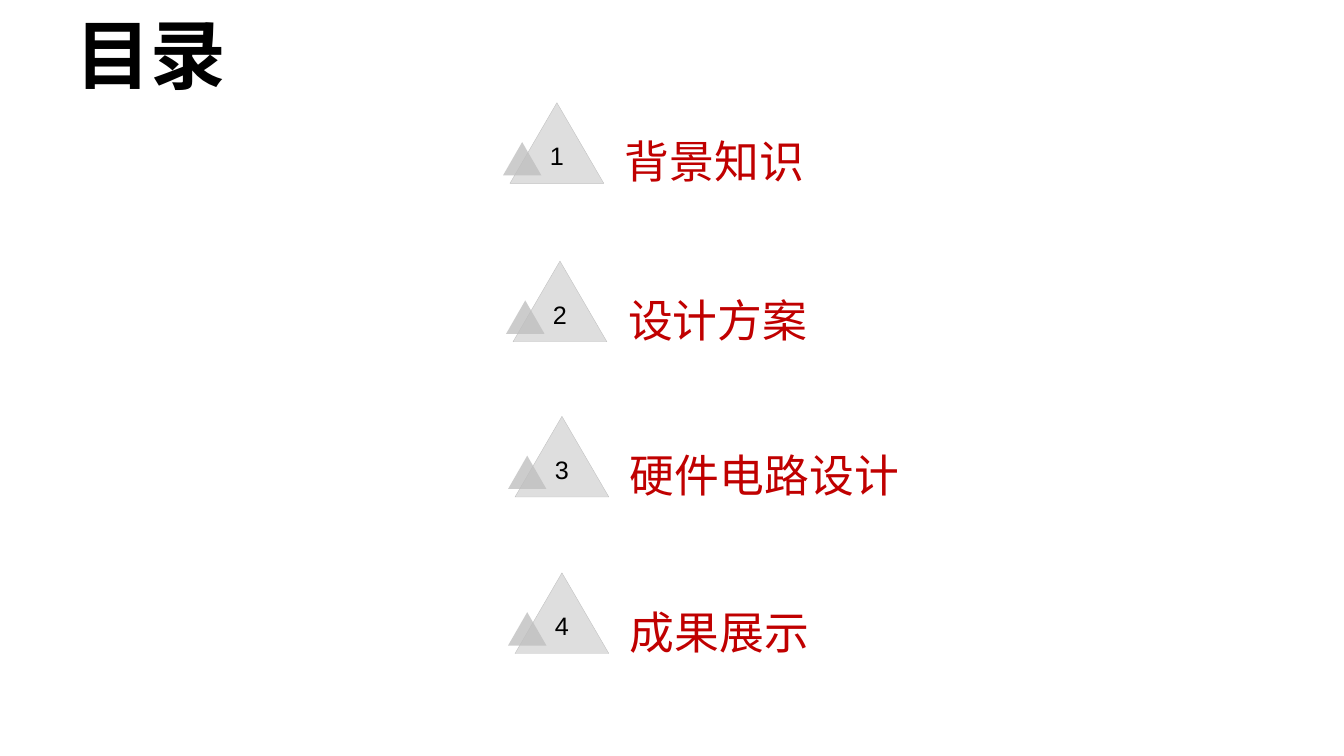
"""Build the contents slide: a title and four numbered entries with triangle markers."""
from typing import NamedTuple, Optional

from lxml import etree
from pptx import Presentation
from pptx.dml.color import RGBColor
from pptx.enum.shapes import MSO_SHAPE
from pptx.enum.text import MSO_ANCHOR, MSO_AUTO_SIZE, PP_ALIGN
from pptx.oxml.ns import qn
from pptx.shapes.autoshape import Shape
from pptx.shapes.group import GroupShape
from pptx.slide import Slide
from pptx.text.text import TextFrame
from pptx.util import Pt

TRIANGLE = MSO_SHAPE.ISOSCELES_TRIANGLE
TOP, MIDDLE = MSO_ANCHOR.TOP, MSO_ANCHOR.MIDDLE
LEFT, CENTER = PP_ALIGN.LEFT, PP_ALIGN.CENTER
NO_AUTOFIT = MSO_AUTO_SIZE.NONE

BLACK = RGBColor(0x00, 0x00, 0x00)
RED = RGBColor(0xC0, 0x00, 0x00)
GRAY = RGBColor(0xBF, 0xBF, 0xBF)
FONT_NAME = "Arial"
TITLE_LAYOUT = 5


class Entry(NamedTuple):
    label: str
    left: float
    top: float


class Box(NamedTuple):
    left: float
    top: float
    width: float
    height: float


class TextStyle(NamedTuple):
    size: float
    color: RGBColor
    alignment: PP_ALIGN
    bold: bool = False


TITLE_BOX = Box(4.3, 2.2, 206.6, 79.2)
LARGE_TRIANGLE = Box(0, 0, 67, 57.6)
LABEL = Box(75, 18.9, 279.4, 36)
SMALL_TRIANGLE = Box(-5, 28.1, 27.4, 23.8)

TITLE_STYLE = TextStyle(54, BLACK, CENTER, True)
NUMBER_STYLE = TextStyle(18, BLACK, CENTER)
LABEL_STYLE = TextStyle(32, RED, LEFT)

ENTRIES = [
    Entry("背景知识", 364.3, 73.4),
    Entry("设计方案", 366.5, 186.5),
    Entry("硬件电路设计", 367.9, 297.4),
    Entry("成果展示", 367.9, 409.2),
]


def place(box: Box, entry: Entry) -> tuple[Pt, Pt, Pt, Pt]:
    """Return the lengths of a box offset by its entry's origin."""
    return Pt(entry.left + box.left), Pt(entry.top + box.top), Pt(box.width), Pt(box.height)


def write_text(frame: TextFrame, text: str, style: TextStyle) -> None:
    """Fill a text frame with one styled paragraph."""
    frame.text = text
    frame.word_wrap = True
    frame.auto_size = NO_AUTOFIT
    paragraph = frame.paragraphs[0]
    paragraph.alignment = style.alignment
    font = paragraph.font
    font.name, font.size, font.bold = FONT_NAME, Pt(style.size), style.bold
    font.color.rgb = style.color


def add_triangle(
    group: GroupShape, box: Box, entry: Entry, opacity: int, outline: Optional[float] = None
) -> Shape:
    """Add a translucent gray triangle, outlined when a line width is given."""
    shape = group.shapes.add_shape(TRIANGLE, *place(box, entry))
    shape.shadow.inherit = False
    shape.fill.solid()
    shape.fill.fore_color.rgb = GRAY
    color = shape.fill._xPr.find(qn("a:solidFill")).find(qn("a:srgbClr"))
    etree.SubElement(color, qn("a:alpha")).set("val", str(opacity * 1000))
    if outline is None:
        shape.line.fill.background()
    else:
        shape.line.color.rgb = GRAY
        shape.line.width = Pt(outline)
    return shape


def add_entry(slide: Slide, number: int, entry: Entry) -> None:
    """Add one grouped entry: numbered triangle, label and small triangle."""
    group = slide.shapes.add_group_shape()
    numbered = add_triangle(group, LARGE_TRIANGLE, entry, 50, 0.25)
    write_text(numbered.text_frame, str(number), NUMBER_STYLE)
    numbered.text_frame.vertical_anchor = MIDDLE
    numbered.text_frame.margin_bottom = Pt(14.4)
    label = group.shapes.add_textbox(*place(LABEL, entry))
    write_text(label.text_frame, entry.label, LABEL_STYLE)
    label.text_frame.vertical_anchor = TOP
    add_triangle(group, SMALL_TRIANGLE, entry, 79)


def add_title(slide: Slide, text: str) -> None:
    """Move and format the title placeholder."""
    title = slide.shapes.title
    title.left, title.top, title.width, title.height = (Pt(length) for length in TITLE_BOX)
    write_text(title.text_frame, text, TITLE_STYLE)
    title.text_frame.vertical_anchor = TOP


def main() -> None:
    """Create and save the presentation."""
    presentation = Presentation()
    presentation.slide_width, presentation.slide_height = Pt(960), Pt(540)
    slide = presentation.slides.add_slide(presentation.slide_layouts[TITLE_LAYOUT])
    add_title(slide, "目录")
    for number, entry in enumerate(ENTRIES, start=1):
        add_entry(slide, number, entry)
    presentation.save("out.pptx")


main()
